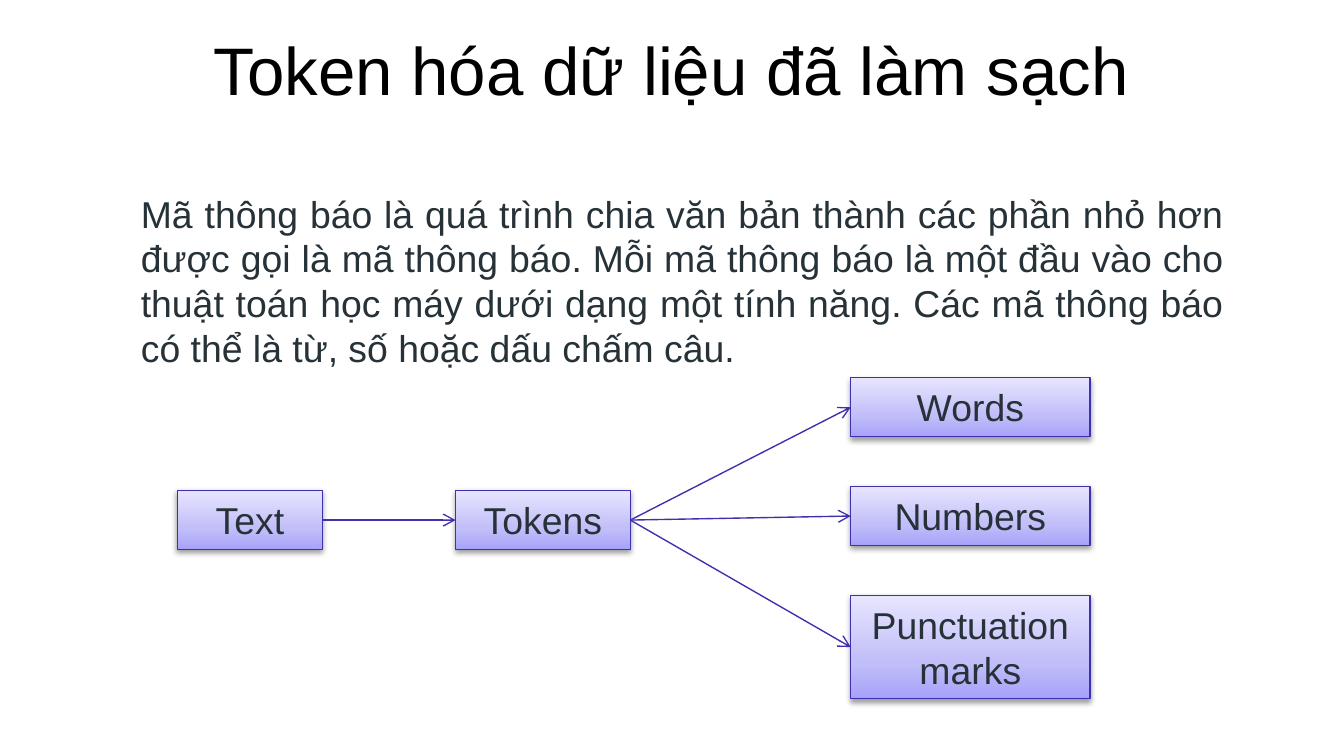
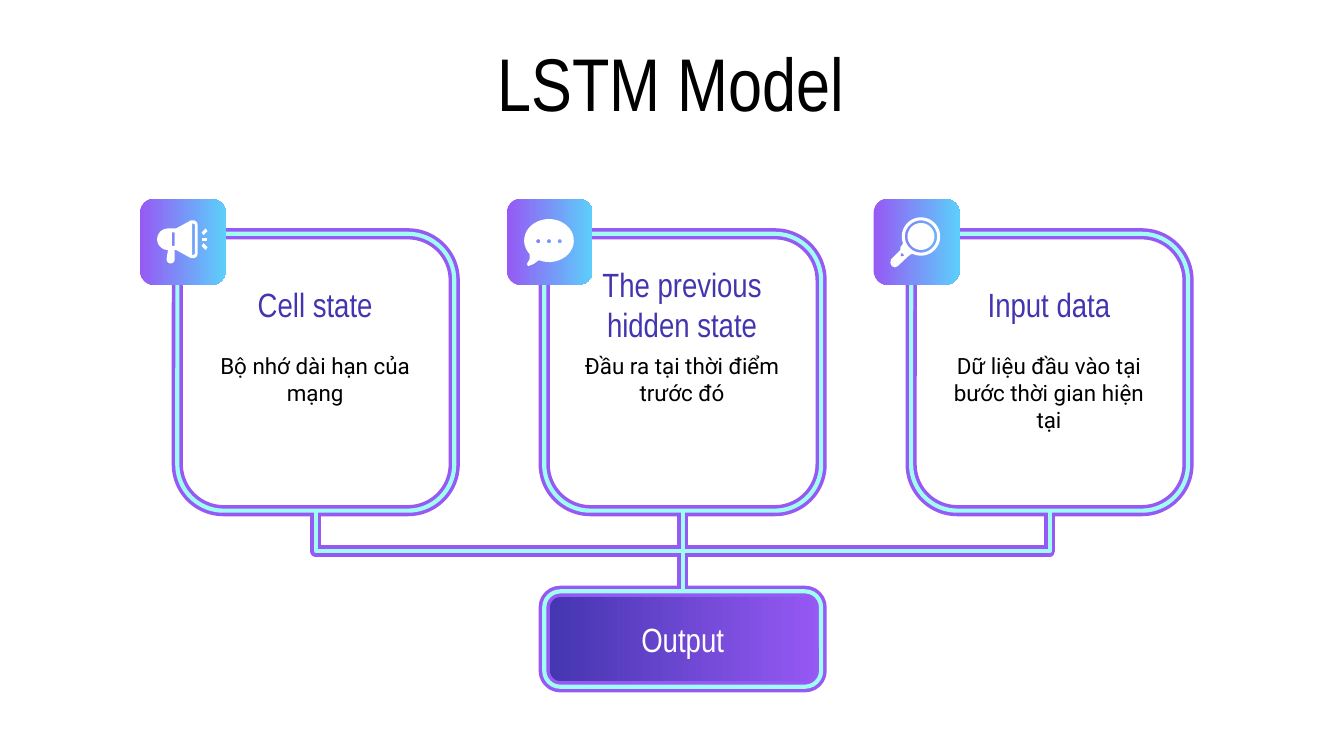
from dataclasses import dataclass
from math import cos, radians, sin

from lxml.etree import SubElement
from pptx import Presentation
from pptx.dml.color import RGBColor
from pptx.enum.shapes import MSO_CONNECTOR as Link, MSO_SHAPE as Preset
from pptx.enum.text import MSO_ANCHOR as Anchor, MSO_AUTO_SIZE as Fit, PP_ALIGN as Align
from pptx.oxml.ns import qn
from pptx.util import Inches, Pt

WIDTH = Inches(10)
HEIGHT = WIDTH * 9 // 16
CELL = WIDTH // 100  # the grid has 100 square columns across the slide

BLACK, WHITE, SLATE = "000000", "FFFFFF", "263238"
INDIGO, VIOLET, MINT, SKY = "4335AF", "9659F4", "A0FDF1", "5CCFFB"
ARROW_BLUE = "3F31AE"
LILAC = [(0, "A7A2F9"), (35, "C1BEF9"), (100, "E7E5FE")]
TITLE_ONLY = 5
ROUNDING = 0.167


@dataclass
class Box:
    """A rectangle measured in grid cells."""
    left: float
    top: float
    width: float
    height: float

    def inner(self, dx, dy, width, height):
        return Box(self.left + dx, self.top + dy, width, height)

    def emu(self):
        return [round(v * CELL) for v in (self.left, self.top, self.width, self.height)]


def rgb(code):
    return RGBColor.from_string(code)


def write(holder, words, size, font, color, align=Align.CENTER, anchor=Anchor.MIDDLE,
          fit=Fit.NONE, inset=None):
    frame = holder.text_frame
    frame.text = words
    frame.word_wrap = True
    frame.auto_size = fit
    frame.vertical_anchor = anchor
    if inset is not None:
        frame.margin_left = frame.margin_right = inset
        frame.margin_top = frame.margin_bottom = inset
    paragraph = frame.paragraphs[0]
    paragraph.alignment = align
    run_font = paragraph.runs[0].font
    run_font.size, run_font.name = Pt(size), font
    run_font.color.rgb = rgb(color)


def add_text(slide, box, words, size, font, color, **layout):
    write(slide.shapes.add_textbox(*box.emu()), words, size, font, color, **layout)


def add_title(slide, top, words, size, font):
    title = slide.shapes.title
    title.left, title.top, title.width, title.height = Box(5.6, top, 88.7, 5.6).emu()
    write(title, words, size, font, BLACK, inset=CELL)


def fill_gradient(shape, stops, angle=0):
    shape.fill.gradient()
    shape.fill.gradient_angle = angle
    stop_list = shape.element.spPr.find(".//" + qn("a:gsLst"))
    for old in list(stop_list):
        stop_list.remove(old)
    for position, color in stops:
        stop = SubElement(stop_list, qn("a:gs"), pos=str(position * 1000))
        SubElement(stop, qn("a:srgbClr"), val=color)


def add_panel(slide, preset, box, line=None, weight=0, stops=None, angle=0):
    panel = slide.shapes.add_shape(preset, *box.emu())
    panel.shadow.inherit = False
    if preset == Preset.ROUNDED_RECTANGLE:
        panel.adjustments[0] = ROUNDING
    if stops:
        fill_gradient(panel, stops, angle)
    else:
        panel.fill.background()
    if line:
        panel.line.color.rgb = rgb(line)
        panel.line.width = Pt(weight)
    else:
        panel.line.fill.background()
    return panel


def style_link(link, color, weight, arrow=False):
    link.line.color.rgb = rgb(color)
    link.line.width = Pt(weight)
    properties = link.element.spPr
    if arrow:
        SubElement(properties.find(qn("a:ln")), qn("a:tailEnd"), type="arrow")
    SubElement(properties, qn("a:effectLst"))


def join(slide, source, source_side, target, target_side, color, weight, arrow=False):
    link = slide.shapes.add_connector(Link.STRAIGHT, 0, 0, 0, 0)
    link.begin_connect(source, source_side)
    link.end_connect(target, target_side)
    style_link(link, color, weight, arrow)


def drop_elbow(slide, source, target, color, weight):
    """Runs from the foot of source down, across and down to the head of target."""
    x1, y1 = source.left + source.width // 2, source.top + source.height
    x2, y2 = target.left + target.width // 2, target.top
    half_drop, half_run = (y2 - y1) // 2, abs(x2 - x1) // 2
    middle_x, middle_y = (x1 + x2) // 2, (y1 + y2) // 2
    rightward = x2 > x1
    side = half_drop if rightward else -half_drop
    link = slide.shapes.add_connector(Link.ELBOW, middle_x + side, middle_y - half_run,
                                      middle_x - side, middle_y + half_run)
    frame = link.element.spPr.find(qn("a:xfrm"))
    frame.set("rot", str((270 if rightward else 90) * 60000))
    style_link(link, color, weight)


# Icon outlines lie on a 64 by 64 grid that covers the badge.
def arc(cx, cy, rx, ry, start=0, end=360, steps=36):
    angles = [radians(start + (end - start) * i / steps) for i in range(steps + 1)]
    return [(cx + rx * cos(a), cy + ry * sin(a)) for a in angles]


def megaphone():
    body = [(38, 16), (27, 22), *arc(21, 30, 8, 8, 270, 90),
            *arc(23, 45, 3, 3, 180, 0, 12), (26, 38), (27, 38), (38, 44),
            *arc(40, 41, 3, 3, 90, 0, 6), *arc(40, 19, 3, 3, 0, -90, 6)]
    grip = [(24, 25), (26, 25), (26, 35), (24, 35)]
    rim = [(39, 18), (41, 19), (41, 41), (39, 42)]
    upper = [(46, 25), (49, 22), (50.5, 24), (47.5, 27)]
    lower = [(x, 60 - y) for x, y in upper]
    middle = [(46, 29), (50, 29), (50, 31), (46, 31)]
    return [[body, grip, rim], [upper], [middle], [lower]]


def speech():
    bubble = arc(31.5, 31, 18.5, 16, 141, 474)
    tail = [(20, 48.5), (16, 50), (15, 48.5), (17, 45)]
    return [[bubble + tail, *(arc(x, 31.5, 1.5, 1.5) for x in (23.5, 31.5, 39.5))]]


def magnifier():
    rim = arc(35.3, 28, 14.3, 14.3, 159, 472)
    handle = [(28, 41), (25.5, 43), (18, 50), (16, 51), (13.5, 50),
              (12.5, 47.5), (13, 45), (20, 38), (20, 36)]
    notch = [(21, 40), (23, 42), (21, 43), (20, 42)]
    return [[rim + handle, arc(35.3, 28, 12, 12), notch], [arc(35.3, 28, 10, 10)]]


def add_badge(slide, box, icon):
    add_panel(slide, Preset.ROUNDED_RECTANGLE, box, stops=[(0, VIOLET), (100, SKY)])
    left, top, width, _ = box.emu()
    fine = 100
    for contours in icon():
        scaled = [[(x * fine, y * fine) for x, y in points] for points in contours]
        pen = slide.shapes.build_freeform(*scaled[0][0], scale=width / 64 / fine)
        pen.add_line_segments(scaled[0][1:])
        for points in scaled[1:]:
            pen.move_to(*points[0])
            pen.add_line_segments(points[1:])
        outline = pen.convert_to_shape(left, top)
        outline.shadow.inherit = False
        outline.fill.solid()
        outline.fill.fore_color.rgb = rgb(WHITE)
        outline.line.fill.background()


def add_node(slide, box, label):
    node = add_panel(slide, Preset.RECTANGLE, box, ARROW_BLUE, 0.75, LILAC, angle=90)
    effects = node.element.spPr.find(qn("a:effectLst"))
    shadow = SubElement(effects, qn("a:outerShdw"), blurRad=str(Pt(3.1)),
                        dist=str(Pt(1.6)), dir="5400000", rotWithShape="0")
    SubElement(SubElement(shadow, qn("a:srgbClr"), val=BLACK), qn("a:alpha"), val="38000")
    write(node, label, 20, "Arial", SLATE, anchor=Anchor.TOP, fit=Fit.SHAPE_TO_FIT_TEXT)
    return node


def add_token_tree(slide, box):
    text = add_node(slide, box.inner(0, 8.4, 10.8, 4.4), "Text")
    tokens = add_node(slide, box.inner(20.7, 8.4, 13, 4.4), "Tokens")
    kinds = [("Words", 4.4), ("Numbers", 4.4), ("Punctuation marks", 7.7)]
    leaves = [add_node(slide, box.inner(50.1, row * 8.1, 17.8, height), label)
              for row, (label, height) in enumerate(kinds)]
    for source, target in [(text, tokens)] + [(tokens, leaf) for leaf in leaves]:
        join(slide, source, 3, target, 1, ARROW_BLUE, 0.75, arrow=True)


def add_card_content(slide, card, heading, detail, icon):
    add_badge(slide, card.inner(-2.8, -2.6, 6.4, 6.4), icon)
    add_text(slide, card.inner(1.8, 3.8, 16.9, 2.8), heading, 18, "Arial Narrow", INDIGO,
             inset=CELL)
    add_text(slide, card.inner(1.8, 7.8, 16.9, 8.3), detail, 12, "Roboto", BLACK,
             anchor=Anchor.TOP, inset=CELL)


def add_lstm_diagram(slide, box):
    inputs = [
        ("Cell state", "Bộ nhớ dài hạn của mạng", megaphone),
        ("The previous hidden state", "Đầu ra tại thời điểm trước đó", speech),
        ("Input data", "Dữ liệu đầu vào tại bước thời gian hiện tại", magnifier),
    ]
    cards = [box.inner(27.3 * i, 0, 20.6, 20.6) for i in range(len(inputs))]
    output = box.inner(27.3, 26.6, 20.6, 7.1)
    # A wide violet tube first, then a thin mint core along the same lines.
    for color, weight in ((VIOLET, 6), (MINT, 2.25)):
        outer = color == VIOLET
        left, middle, right = [
            add_panel(slide, Preset.ROUNDED_RECTANGLE, card, color, weight) for card in cards]
        result = add_panel(slide, Preset.ROUNDED_RECTANGLE, output, color, weight,
                           [(0, INDIGO), (100, VIOLET)] if outer else None)
        if outer:
            write(result, "Output", 18, "Arial Narrow", WHITE, inset=CELL)
        drop_elbow(slide, left, result, color, weight)
        drop_elbow(slide, right, result, color, weight)
        join(slide, middle, 2, result, 0, color, weight)
    for card, content in zip(cards, inputs):
        add_card_content(slide, card, *content)


def token_slide(deck):
    slide = deck.slides.add_slide(deck.slide_layouts[TITLE_ONLY])
    add_title(slide, 2.3, "Token hóa dữ liệu đã làm sạch", 36, "Arial")
    add_text(slide, Box(9.5, 13.7, 82.6, 14.5),
             "Mã thông báo là quá trình chia văn bản thành các phần nhỏ hơn được gọi là mã "
             "thông báo. Mỗi mã thông báo là một đầu vào cho thuật toán học máy dưới dạng một "
             "tính năng. Các mã thông báo có thể là từ, số hoặc dấu chấm câu.",
             20, "Arial", SLATE, align=Align.JUSTIFY, anchor=Anchor.TOP,
             fit=Fit.SHAPE_TO_FIT_TEXT)
    add_token_tree(slide, Box(13.2, 28.1, 67.9, 23.9))


def lstm_slide(deck):
    slide = deck.slides.add_slide(deck.slide_layouts[TITLE_ONLY])
    add_title(slide, 3.3, "LSTM Model", 40, "Arial Narrow")
    add_lstm_diagram(slide, Box(13.2, 17.4, 75.2, 33.7))


def main():
    deck = Presentation()
    deck.slide_width, deck.slide_height = WIDTH, HEIGHT
    token_slide(deck)
    lstm_slide(deck)
    deck.save("out.pptx")


if __name__ == "__main__":
    main()
